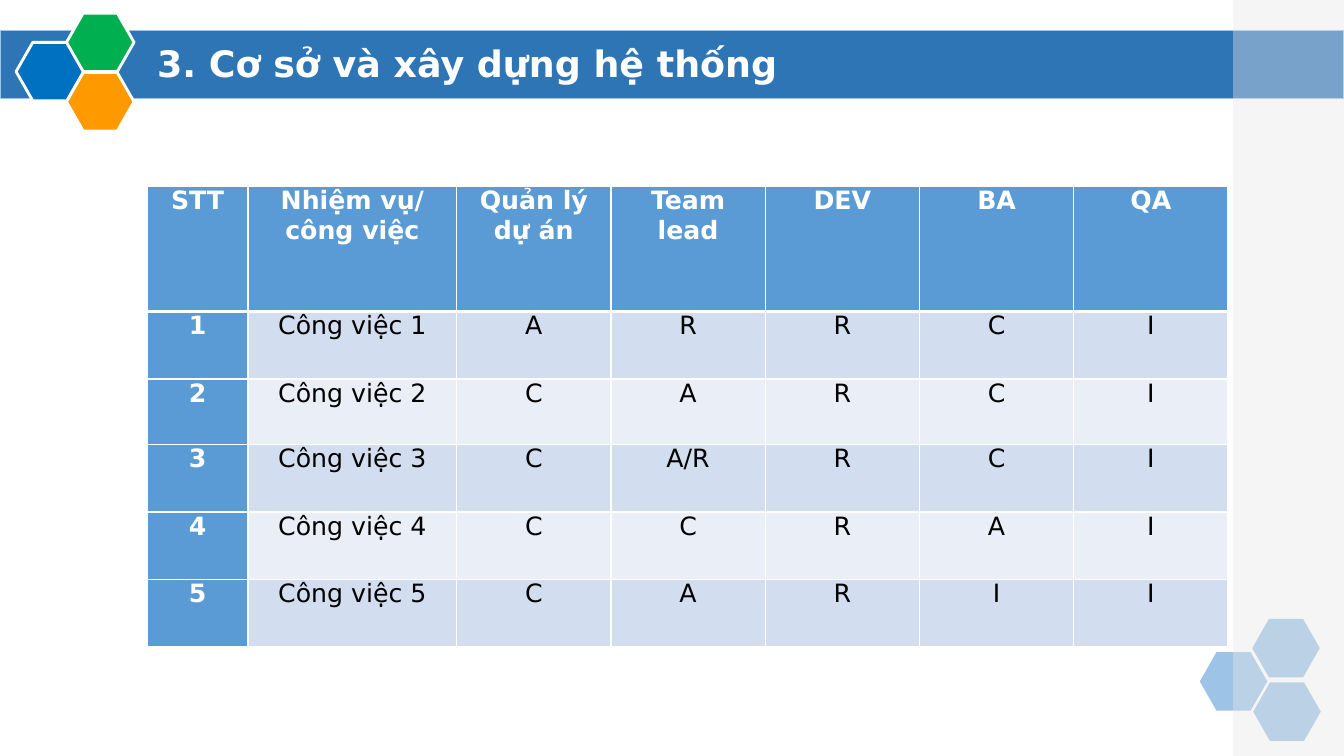
from lxml.etree import SubElement
from pptx import Presentation
from pptx.dml.color import RGBColor
from pptx.enum.shapes import MSO_SHAPE
from pptx.enum.text import MSO_AUTO_SIZE, PP_ALIGN
from pptx.oxml.ns import qn
from pptx.util import Inches, Pt

theme = {
    "font": "DejaVu Sans",
    "title": Pt(26),
    "body": Pt(18),
    "white": RGBColor.from_string("FFFFFF"),
    "black": RGBColor.from_string("000000"),
    "bar": RGBColor.from_string("2E75B6"),
    "pale": RGBColor.from_string("9DC3E6"),
    "side": RGBColor.from_string("E7E6E6"),
    "blue": RGBColor.from_string("0070C0"),
    "orange": RGBColor.from_string("FF9900"),
    "green": RGBColor.from_string("00B050"),
    "head": RGBColor.from_string("5B9BD5"),
    "odd": RGBColor.from_string("D2DEEF"),
    "even": RGBColor.from_string("EAEFF7"),
}

deck = Presentation()
deck.slide_width, deck.slide_height = Inches(13.33), Inches(7.5)
slide = deck.slides.add_slide(deck.slide_layouts[6])


def add_form(kind, box, fill, line=None, width=1):
    form = slide.shapes.add_shape(kind, *map(Inches, box))
    form.shadow.inherit = False
    form.fill.solid()
    form.fill.fore_color.rgb = theme[fill]
    if line:
        form.line.color.rgb = theme[line]
        form.line.width = Pt(width)
    else:
        form.line.fill.background()
    if kind == MSO_SHAPE.HEXAGON:
        form.adjustments[0], form.adjustments[1] = 0.286, 1.155
    return form


def set_text(para, text, size, color, bold):
    run = para.add_run()
    run.text = text
    style = {"name": theme["font"], "size": theme[size], "bold": bold}
    for key, value in style.items():
        setattr(run.font, key, value)
    run.font.color.rgb = theme[color]


add_form(MSO_SHAPE.RECTANGLE, (0, 0.3, 13.33, 0.68), "bar", "pale")
for left, top in [(12.42, 6.14), (11.9, 6.47), (12.43, 6.77)]:
    add_form(MSO_SHAPE.HEXAGON, (left, top, 0.67, 0.58), "pale")

side = add_form(MSO_SHAPE.RECTANGLE, (12.23, 0, 1.1, 7.5), "side")
tint = side.fill._xPr.find(qn("a:solidFill"))[0]
SubElement(tint, qn("a:alpha"), val="40000")

for left, top, color in [(0.16, 0.42, "blue"), (0.66, 0.72, "orange"), (0.66, 0.13, "green")]:
    add_form(MSO_SHAPE.HEXAGON, (left, top, 0.67, 0.58), color, "white", 2)

title = slide.shapes.add_textbox(*map(Inches, (1.46, 0.36, 10.74, 0.54))).text_frame
title.word_wrap = True
title.auto_size = MSO_AUTO_SIZE.SHAPE_TO_FIT_TEXT
set_text(title.paragraphs[0], "3. Cơ sở và xây dựng hệ thống", "title", "white", True)

heads = ["STT", "Nhiệm vụ/ công việc", "Quản lý dự án", "Team lead", "DEV", "BA", "QA"]
roles = ["A R R C I", "C A R C I", "C A/R R C I", "C C R A I", "C A R I I"]
rows = [heads] + [[str(n), f"Công việc {n}", *line.split()] for n, line in enumerate(roles, 1)]
widths = [1, 2.07] + [1.53] * 5
heights = [1.24, 0.67, 0.65] + [0.67] * 3

frame = slide.shapes.add_table(len(rows), len(heads), *map(Inches, (1.46, 1.85, 10.74, 4.59)))
table = frame.table
table.first_col = True
for column, width in zip(table.columns, widths):
    column.width = Inches(width)
for row, height in zip(table.rows, heights):
    row.height = Inches(height)

layout = {
    "margin_left": Inches(0.07),
    "margin_right": Inches(0.07),
    "margin_top": 0,
    "margin_bottom": 0,
}
for r, row in enumerate(rows):
    for c, text in enumerate(row):
        cell = table.cell(r, c)
        for key, value in layout.items():
            setattr(cell, key, value)
        props = cell._tc.get_or_add_tcPr()
        edges = {"lnL": 1, "lnR": 1, "lnT": 3 if r == 1 else 1, "lnB": 3 if r == 0 else 1}
        for edge, width in edges.items():
            line = SubElement(props, qn(f"a:{edge}"), w=str(Pt(width)))
            paint = SubElement(line, qn("a:solidFill"))
            SubElement(paint, qn("a:srgbClr"), val=str(theme["white"]))
        main = r == 0 or c == 0
        cell.fill.solid()
        cell.fill.fore_color.rgb = theme["head" if main else "odd" if r % 2 else "even"]
        para = cell.text_frame.paragraphs[0]
        para.alignment = PP_ALIGN.CENTER
        set_text(para, text, "body", "white" if main else "black", main)

deck.save("out.pptx")
